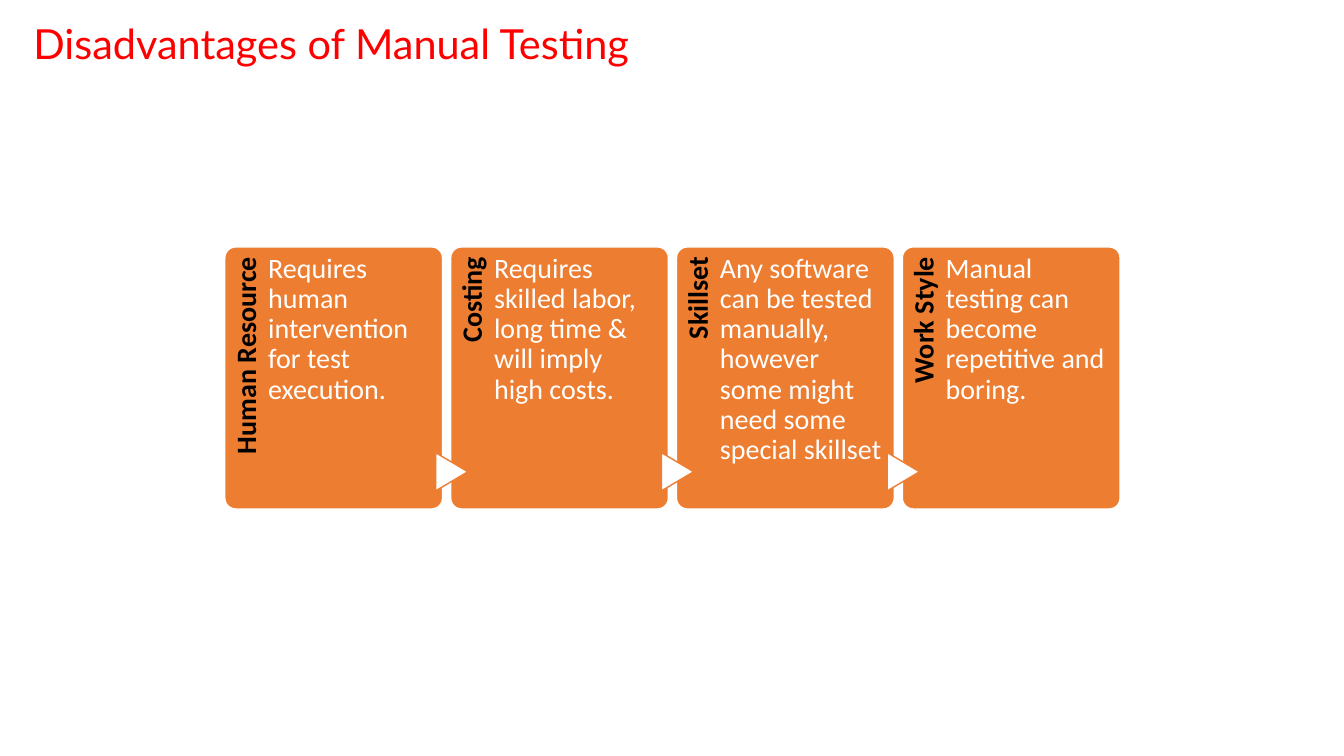
from dataclasses import dataclass
from typing import Any

from pptx import Presentation
from pptx.dml.color import RGBColor
from pptx.enum.shapes import MSO_SHAPE
from pptx.enum.text import MSO_ANCHOR, MSO_AUTO_SIZE, PP_ALIGN
from pptx.util import Inches, Pt

ROUNDED = MSO_SHAPE.ROUNDED_RECTANGLE
TRIANGLE = MSO_SHAPE.FLOWCHART_EXTRACT
TOP, MIDDLE = MSO_ANCHOR.TOP, MSO_ANCHOR.MIDDLE
LEFT, RIGHT = PP_ALIGN.LEFT, PP_ALIGN.RIGHT
NO_AUTOFIT = MSO_AUTO_SIZE.NONE
TITLE_ONLY_LAYOUT = 5


@dataclass(frozen=True)
class Theme:
    red: RGBColor = RGBColor(0xFF, 0x00, 0x00)
    orange: RGBColor = RGBColor(0xED, 0x7D, 0x31)
    white: RGBColor = RGBColor(0xFF, 0xFF, 0xFF)
    black: RGBColor = RGBColor(0x00, 0x00, 0x00)
    title_font: str = "Lato"
    card_font: str = "Calibri"
    title_size: float = 29.6
    card_size: float = 20
    line_width: float = 1
    line_spacing: float = 0.9


@dataclass(frozen=True)
class Box:
    left: float
    top: float
    width: float
    height: float


@dataclass(frozen=True)
class Drawback:
    heading: str
    detail: str


THEME = Theme()
DRAWBACKS = [
    Drawback("Human Resource", "Requires human intervention for test execution."),
    Drawback("Costing", "Requires skilled labor, long time & will imply high costs."),
    Drawback("Skillset", "Any software can be tested manually, however some "
                         "might need some special skillset"),
    Drawback("Work Style", "Manual testing can become repetitive and boring."),
]

# Card row: first left edge, distance between cards, shared top and height
ROW_LEFT, CARD_PITCH = 2.23, 2.24
CARD_TOP, CARD_WIDTH, CARD_HEIGHT = 2.45, 2.16, 2.6

TITLE_FONT = {"name": THEME.title_font, "size": Pt(THEME.title_size), "bold": False}
HEADING_FONT = {"name": THEME.card_font, "size": Pt(THEME.card_size), "bold": True}
DETAIL_FONT = {**HEADING_FONT, "bold": False}
CARD_FRAME = {"margin_left": 0, "margin_top": Inches(0.07), "margin_right": 0,
              "margin_bottom": 0, "vertical_anchor": TOP}


def apply(target: Any, values: dict[str, Any]) -> None:
    for name, value in values.items():
        setattr(target, name, value)


def inches(box: Box) -> list[int]:
    return [Inches(v) for v in (box.left, box.top, box.width, box.height)]


def write(shape: Any, text: str, font: dict[str, Any], color: RGBColor,
          frame: dict[str, Any], align: PP_ALIGN = LEFT) -> None:
    text_frame = shape.text_frame
    apply(text_frame, {"word_wrap": True, "auto_size": NO_AUTOFIT, **frame})
    paragraph = text_frame.paragraphs[0]
    apply(paragraph, {"alignment": align, "line_spacing": THEME.line_spacing})
    run = paragraph.add_run()
    run.text = text
    apply(run.font, font)
    run.font.color.rgb = color


def add_filled(slide: Any, kind: MSO_SHAPE, box: Box, fill: RGBColor,
               line: RGBColor) -> Any:
    shape = slide.shapes.add_shape(kind, *inches(box))
    shape.shadow.inherit = False
    shape.fill.solid()
    shape.fill.fore_color.rgb = fill
    shape.line.color.rgb = line
    shape.line.width = Pt(THEME.line_width)
    return shape


def add_card(slide: Any, index: int, drawback: Drawback) -> None:
    left = ROW_LEFT + index * CARD_PITCH

    # Panel
    panel = add_filled(slide, ROUNDED, Box(left, CARD_TOP, CARD_WIDTH, CARD_HEIGHT),
                       THEME.orange, THEME.white)
    panel.adjustments[0] = 0.05

    # Heading, reading upwards along the left edge
    heading = slide.shapes.add_textbox(*inches(Box(left - 0.85, 3.3, 2.13, 0.43)))
    heading.rotation = 270
    write(heading, drawback.heading, HEADING_FONT, THEME.black,
          {**CARD_FRAME, "margin_right": Inches(0.1)}, RIGHT)

    # Arrow from the previous card
    if index:
        arrow = add_filled(slide, TRIANGLE, Box(left - 0.18, 4.52, 0.38, 0.32),
                           THEME.white, THEME.orange)
        arrow.rotation = 90

    # Detail
    detail = slide.shapes.add_textbox(
        *inches(Box(left + 0.43, CARD_TOP, 1.61, CARD_HEIGHT)))
    write(detail, drawback.detail, DETAIL_FONT, THEME.white, CARD_FRAME)


def main() -> None:
    deck = Presentation()
    apply(deck, {"slide_width": Inches(13.33), "slide_height": Inches(7.5)})
    slide = deck.slides.add_slide(deck.slide_layouts[TITLE_ONLY_LAYOUT])

    # Title
    title = slide.shapes.title
    apply(title, dict(zip(("left", "top", "width", "height"),
                          inches(Box(0.23, 0.16, 12.6, 0.59)))))
    write(title, "Disadvantages of Manual Testing", TITLE_FONT, THEME.red,
          {"vertical_anchor": MIDDLE})

    # Cards
    for index, drawback in enumerate(DRAWBACKS):
        add_card(slide, index, drawback)

    deck.save("out.pptx")


if __name__ == "__main__":
    main()
